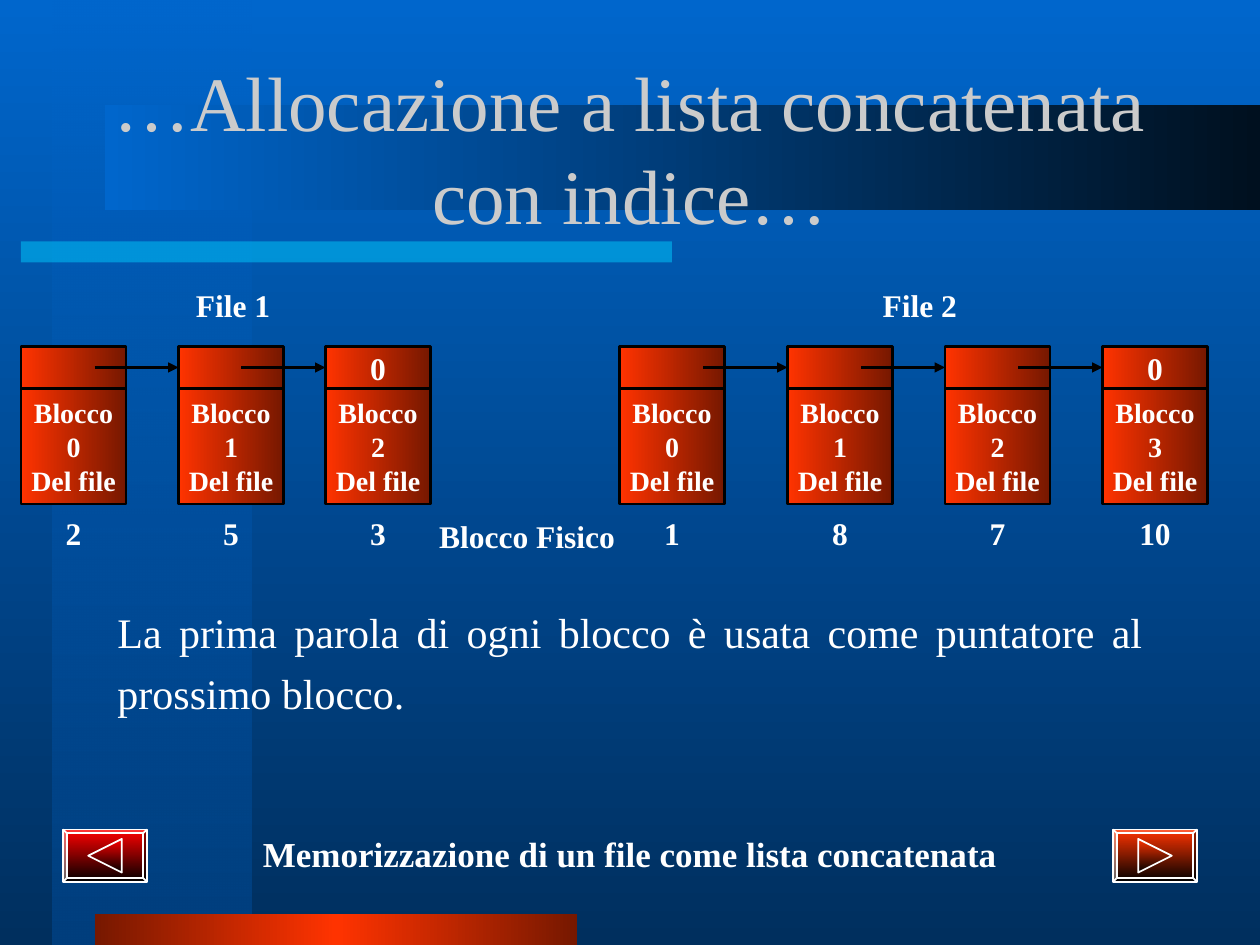
import pptx
import pptx.util
import pptx.dml.color
import pptx.enum.shapes
import pptx.enum.text
import pptx.oxml.ns
import lxml.etree

RGB = pptx.dml.color.RGBColor
BLUE = RGB(0x00, 0x66, 0xCC)
NAVY = RGB(0x00, 0x2F, 0x5E)
DEEP = RGB(0x00, 0x3F, 0x7E)
NIGHT = RGB(0x00, 0x10, 0x1F)
CYAN = RGB(0x00, 0xCC, 0xFF)
RED = RGB(0xFF, 0x00, 0x00)
FIRE = RGB(0xFF, 0x33, 0x00)
RUST = RGB(0x76, 0x18, 0x00)
BLACK = RGB(0x00, 0x00, 0x00)
WHITE = RGB(0xFF, 0xFF, 0xFF)
GREY = RGB(0xCB, 0xCB, 0xCB)

FONT = "Times New Roman"
TITLE = "…Allocazione a lista concatenata con indice…"
BODY = "La prima parola di ogni blocco è usata come puntatore al prossimo blocco."
NOTE = "Memorizzazione di un file come lista concatenata"
FILES = [
    ("File 1", 11.2, [(2, "2"), (17, "5"), (31, "3")]),
    ("File 2", 76.6, [(59, "1"), (75, "8"), (90, "7"), (105, "10")]),
]
BUTTONS = [(6, RED, [(5.6, 4.1), (2.4, 2.5), (5.6, 0.9)]),
           (106, FIRE, [(2.4, 0.9), (5.6, 2.5), (2.4, 4.1)])]

WIDE, HIGH = 120, 90
CELL, HEAD, BLOCK = 10, 4, 11
TOP = 33
KIND = pptx.enum.shapes.MSO_SHAPE
ALIGN = pptx.enum.text.PP_ALIGN
ANCHOR = pptx.enum.text.MSO_ANCHOR
qn = pptx.oxml.ns.qn


def unit(num):
    return pptx.util.Inches(num / 12)


def fade(fill, root, stops, turn=0):
    fill.gradient()
    fill.gradient_angle = turn
    group = next(root.iter(qn("a:gsLst")))
    for old in list(group):
        group.remove(old)
    for place, tint, *alpha in stops:
        stop = lxml.etree.SubElement(group, qn("a:gs"), pos=str(place * 1000))
        tone = lxml.etree.SubElement(stop, qn("a:srgbClr"), val=str(tint))
        for part in alpha:
            lxml.etree.SubElement(tone, qn("a:alpha"), val=str(part * 1000))


def edge(shape, tint=None, width=1):
    shape.shadow.inherit = False
    if tint is None:
        shape.line.fill.background()
    else:
        shape.line.color.rgb = tint
        shape.line.width = pptx.util.Pt(width)


def panel(slide, area, stops, turn=0, tint=None, width=1, kind=KIND.RECTANGLE):
    shape = slide.shapes.add_shape(kind, *map(unit, area))
    fade(shape.fill, shape._element, stops, turn)
    edge(shape, tint, width)
    return shape


def write(shape, lines, size, tint=WHITE, bold=True, align=ALIGN.CENTER,
          anchor=ANCHOR.MIDDLE, wrap=False, side=0.05):
    frame = shape.text_frame
    frame.word_wrap = wrap
    frame.vertical_anchor = anchor
    frame.margin_left = frame.margin_right = pptx.util.Inches(side)
    frame.margin_top = frame.margin_bottom = pptx.util.Inches(0.05)
    for num, line in enumerate(lines):
        para = frame.add_paragraph() if num else frame.paragraphs[0]
        para.alignment = align
        run = para.add_run()
        run.text = line
        run.font.name = FONT
        run.font.size = pptx.util.Pt(size)
        run.font.bold = bold
        run.font.color.rgb = tint
    return frame


def label(slide, area, line, size, **style):
    box = slide.shapes.add_textbox(*map(unit, area))
    return write(box, [line], size, **style)


def arrow(slide, cell, left):
    row = unit(TOP + HEAD / 2)
    line = slide.shapes.add_connector(
        pptx.enum.shapes.MSO_CONNECTOR.STRAIGHT, unit(left - 8), row, unit(left), row)
    line.end_connect(cell, 1)
    line.line.color.rgb = BLACK
    line.line.width = pptx.util.Pt(1.25)
    shape = line._element.spPr
    lxml.etree.SubElement(shape.find(qn("a:ln")), qn("a:tailEnd"), type="triangle")
    lxml.etree.SubElement(shape, qn("a:effectLst"))


def chain(slide, name, side, blocks):
    heads = []
    last = len(blocks) - 1
    stops = [(0, FIRE), (100, RUST)]
    for num, (left, place) in enumerate(blocks):
        block = panel(slide, (left, TOP + HEAD, CELL, BLOCK), stops, 0, BLACK, 1.5)
        write(block, ["Blocco", str(num), "Del file"], 16)
        head = panel(slide, (left, TOP, CELL, HEAD), stops, 0, BLACK, 1.25)
        if num == last:
            write(head, ["0"], 18)
        heads.append((head, left))
        label(slide, (left + 0.5, TOP + HEAD + BLOCK, 9, 5.5), place, 18)
    for head, left in heads[1:]:
        arrow(slide, head, left)
    label(slide, (side, 26.3, 22, 5.5), name, 18)


def button(slide, left, tint, points):
    stops = [(0, tint), (100, BLACK)]
    frame = panel(slide, (left, 79, 8, 5), stops, 270, WHITE, 1, KIND.BEVEL)
    frame.adjustments[0] = 0.07
    spots = [(unit(left + col), unit(79 + row)) for col, row in points]
    pen = slide.shapes.build_freeform(*spots[0])
    pen.add_line_segments(spots[1:], close=True)
    mark = pen.convert_to_shape()
    fade(mark.fill, mark._element, stops, 270)
    edge(mark, WHITE)


def main():
    deck = pptx.Presentation()
    deck.slide_width, deck.slide_height = unit(WIDE), unit(HIGH)
    slide = deck.slides.add_slide(deck.slide_layouts[6])
    fade(slide.background.fill, slide._element, [(0, BLUE), (100, NAVY)], 270)

    panel(slide, (5, 0, 19, HIGH), [(0, BLUE, 50), (100, DEEP)], 270)
    panel(slide, (2, 23, 62, 2), [(0, CYAN, 50), (100, CYAN, 50)])
    panel(slide, (9, 87, 46, 3), [(0, RUST), (50, FIRE), (100, RUST)])
    panel(slide, (10, 10, 110, 10), [(0, BLUE), (100, NIGHT)])
    for item in BUTTONS:
        button(slide, *item)

    label(slide, (9, 6.5, 102, 15), TITLE, 44, tint=GREY, bold=False, wrap=True, side=0.1)
    for item in FILES:
        chain(slide, *item)
    label(slide, (41, 48.25, 18.4, 5.5), "Blocco Fisico", 18)
    frame = label(slide, (10, 56.25, 100, 12.75), BODY, 24, bold=False,
                  align=ALIGN.JUSTIFY, anchor=ANCHOR.TOP, wrap=True, side=0.1)
    frame.paragraphs[0].line_spacing = 1.2
    label(slide, (15, 78.5, 90, 5.5), NOTE, 20)
    deck.save("out.pptx")


if __name__ == "__main__":
    main()
